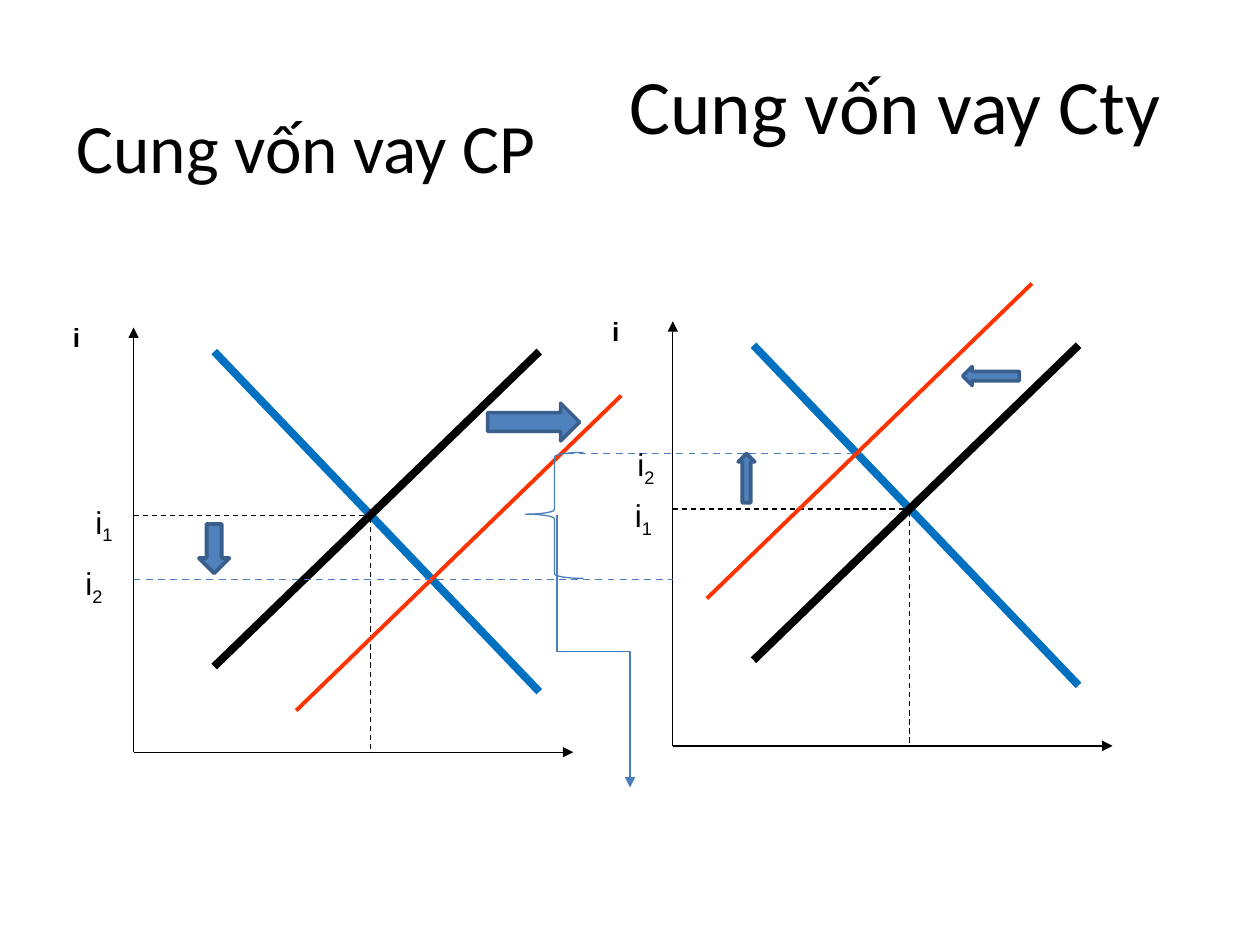
"""Build a slide with two supply-and-demand diagrams for loanable funds."""
from lxml import etree
from pptx import Presentation
from pptx.dml.color import RGBColor
from pptx.enum.dml import MSO_LINE
from pptx.enum.shapes import MSO_CONNECTOR as Connector, MSO_SHAPE as Preset
from pptx.enum.text import MSO_ANCHOR as Anchor, PP_ALIGN as Align
from pptx.oxml.ns import qn
from pptx.util import Inches, Pt

COLORS = {
    "black": "000000", "demand": "0070C0", "shifted": "FF3300",
    "guide": "4B7EBC", "arrow": "4F81BD", "outline": "3A5F8C",
}


class DiagramSlide:
    """Hold the style and the current slide, and draw each kind of element."""

    def __init__(self, slide):
        """Start drawing straight on the slide."""
        self.slide = slide
        self.shapes = slide.shapes

    def color(self, name):
        """Return the named colour."""
        return RGBColor.from_string(COLORS[name])

    def start_group(self):
        """Draw the next elements in a new group."""
        self.shapes = self.slide.shapes.add_group_shape().shapes

    def end_group(self):
        """Draw the next elements straight on the slide."""
        self.shapes = self.slide.shapes

    def style_font(self, paragraph, size, name, bold=False):
        """Set the font of a whole paragraph."""
        font = paragraph.font
        font.size, font.name, font.bold = Pt(size), name, bold
        font.color.rgb = self.color("black")

    def heading(self, shape, text, size, box):
        """Place a centred heading in a placeholder or text box."""
        shape.left, shape.top, shape.width, shape.height = map(Inches, box)
        frame = shape.text_frame
        frame.word_wrap = True
        frame.vertical_anchor = Anchor.MIDDLE
        paragraph = frame.paragraphs[0]
        paragraph.text = text
        paragraph.alignment = Align.CENTER
        self.style_font(paragraph, size, "Calibri")

    def label(self, left, top, text, subscript="", size=18, bold=False, box=(0.76, 0.4)):
        """Add an axis label with an optional subscript."""
        shape = self.shapes.add_textbox(Inches(left), Inches(top), *map(Inches, box))
        shape.text_frame.word_wrap = True
        paragraph = shape.text_frame.paragraphs[0]
        paragraph.add_run().text = text
        self.style_font(paragraph, size, "Arial", bold)
        if subscript:
            run = paragraph.add_run()
            run.text = subscript
            run.font._element.set("baseline", "-25000")

    def line(self, start, end, color="black", width=0.75, dashed=False, arrow=False,
             kind=Connector.STRAIGHT):
        """Add a connector between two points."""
        connector = self.shapes.add_connector(kind, *map(Inches, (*start, *end)))
        connector.line.color.rgb = self.color(color)
        connector.line.width = Pt(width)
        if dashed:
            connector.line.dash_style = MSO_LINE.DASH
        if arrow:
            etree.SubElement(connector.line._get_or_add_ln(), qn("a:tailEnd"), type="triangle")
        etree.SubElement(connector._element.spPr, qn("a:effectLst"))
        return connector

    def preset(self, kind, box, line, width, fill=None):
        """Add a preset shape."""
        shape = self.shapes.add_shape(kind, *map(Inches, box))
        shape.shadow.inherit = False
        shape.line.color.rgb = self.color(line)
        shape.line.width = Pt(width)
        if fill:
            shape.fill.solid()
            shape.fill.fore_color.rgb = self.color(fill)
        else:
            shape.fill.background()
        return shape

    def diagram(self, origin, shift, new_rate, rate_labels, arrows):
        """Draw axes, curves, equilibrium guides, labels and shift arrows."""
        x, y = origin

        def at(right, up):
            """Return the slide point for an offset from the origin."""
            return x + right, y - up

        dx, dy = shift
        self.start_group()
        self.line(origin, at(0, 3.37), arrow=True)
        self.line(origin, at(3.49, 0), arrow=True)
        self.line(at(0.64, 3.18), at(3.22, 0.48), "demand", 4.5)
        self.line(at(0.64, 0.68), at(3.22, 3.18), "black", 4.5)
        self.label(*at(-0.58, 3.47), "i", size=15, bold=True, box=(0.55, 0.35))
        self.line(at(0, 1.88), at(1.84, 1.88), dashed=True)
        self.line(at(1.88, 1.93), at(1.88, 0), dashed=True)
        self.line(at(0.64 + dx, 0.68 + dy), at(3.22 + dx, 3.18 + dy), "shifted", 2.25)
        self.line(*new_rate, "guide", 1, dashed=True)
        for number, place in enumerate(rate_labels, 1):
            self.label(*place, "i", str(number))
        for kind, box, width in arrows:
            self.preset(kind, box, "outline", width, "arrow")
        self.end_group()


def main():
    """Build and save the presentation."""
    presentation = Presentation()
    presentation.slide_width, presentation.slide_height = Inches(10), Inches(7.5)
    slide = presentation.slides.add_slide(presentation.slide_layouts[5])
    drawing = DiagramSlide(slide)

    drawing.heading(slide.shapes.title, "Cung vốn vay Cty", 44, (4.62, 0.17, 4.97, 1.31))
    drawing.diagram(
        origin=(5.34, 5.92), shift=(-0.37, 0.49), new_rate=((4.5, 3.6), (6.84, 3.6)),
        rate_labels=[(4.94, 3.89), (4.96, 3.48)],
        arrows=[(Preset.UP_ARROW, (5.86, 3.6, 0.13, 0.39), 2.25),
                (Preset.LEFT_ARROW, (7.64, 2.91, 0.45, 0.15), 2)])
    drawing.diagram(
        origin=(1.06, 5.97), shift=(0.65, -0.35), new_rate=((1.06, 4.6), (5.34, 4.6)),
        rate_labels=[(0.66, 3.94), (0.58, 4.43)],
        arrows=[(Preset.DOWN_ARROW, (1.58, 4.16, 0.24, 0.39), 2.25),
                (Preset.RIGHT_ARROW, (3.87, 3.2, 0.73, 0.3), 2)])
    drawing.heading(slide.shapes.add_textbox(0, 0, 0, 0), "Cung vốn vay CP", 39.6,
                    (0.44, 0.5, 3.98, 1.31))

    brace = drawing.preset(Preset.RIGHT_BRACE, (4.17, 3.59, 0.46, 1), "guide", 0.75)
    brace.rotation = 180
    brace.adjustments[0], brace.adjustments[1] = 0.08, 0.51
    elbow = drawing.line((5.79, 4.88), (3.63, 5.46), "guide", arrow=True, kind=Connector.ELBOW)
    elbow._element.spPr.find(qn("a:xfrm")).set("rot", str(270 * 60000))

    presentation.save("out.pptx")


if __name__ == "__main__":
    main()
